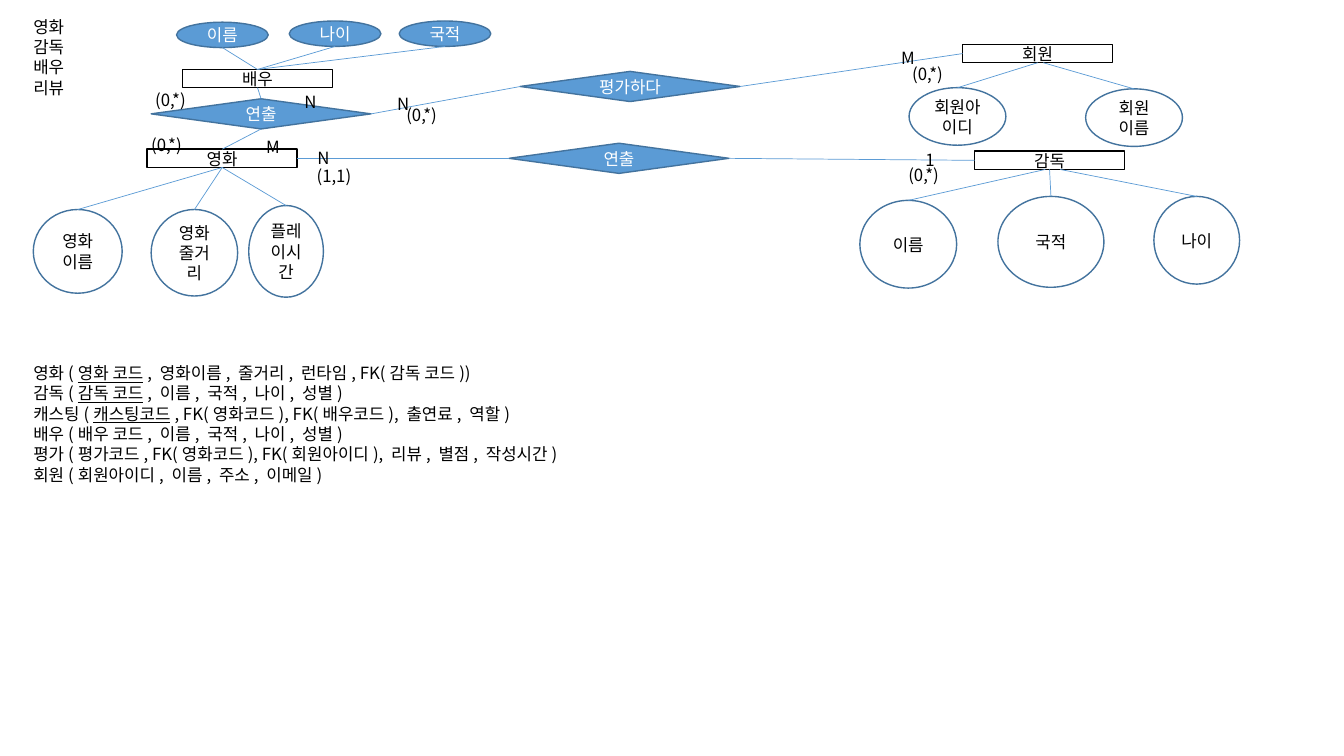
from lxml import etree
from pptx import Presentation
from pptx.dml.color import RGBColor
from pptx.enum.shapes import MSO_CONNECTOR, MSO_SHAPE
from pptx.enum.text import MSO_ANCHOR, PP_ALIGN
from pptx.oxml.ns import qn
from pptx.util import Cm, Pt

RECT, OVAL, DIAMOND = MSO_SHAPE.RECTANGLE, MSO_SHAPE.OVAL, MSO_SHAPE.DIAMOND
STRAIGHT = MSO_CONNECTOR.STRAIGHT
MIDDLE, TOP = MSO_ANCHOR.MIDDLE, MSO_ANCHOR.TOP
CENTER, LEFT = PP_ALIGN.CENTER, PP_ALIGN.LEFT
SITE_TOP, SITE_LEFT, SITE_BOTTOM, SITE_RIGHT = range(4)

COLORS = {"ink": "000000", "white": "FFFFFF", "blue": "5B9BD5", "edge": "43739E"}
FONT = "Noto Sans CJK KR"

# Content: places and sizes in centimetres
ENTITY_SIZE = (3.78, 0.46)
RELATION_SIZE = (5.54, 0.76)
ENTITIES = {
    "영화": (3.71, 3.76),
    "감독": (24.56, 3.81),
    "배우": (4.6, 1.75),
    "회원": (24.26, 1.12),
}
# owner, text, box, above its owner (and filled), shift of the line along the owner
ATTRIBUTES = [
    ("영화", "영화이름", (0.84, 5.28, 2.24, 2.11), False, 0),
    ("영화", "영화줄거리", (3.81, 5.28, 2.18, 2.18), False, 0),
    ("영화", "플레이시간", (6.27, 5.18, 1.88, 2.31), False, 0),
    ("감독", "이름", (21.67, 5.05, 2.44, 2.21), False, -0.11),
    ("감독", "국적", (25.15, 4.95, 2.67, 2.29), False, 0),
    ("감독", "나이", (29.08, 4.95, 2.16, 2.21), False, 0.27),
    ("배우", "이름", (4.45, 0.56, 2.31, 0.64), True, 0),
    ("배우", "나이", (7.29, 0.53, 2.31, 0.64), True, 0),
    ("배우", "국적", (10.06, 0.53, 2.31, 0.64), True, 0),
    ("회원", "회원아이디", (22.91, 2.21, 2.44, 1.45), False, 0),
    ("회원", "회원 이름", (27.36, 2.24, 2.44, 1.45), False, 0.14),
]
RELATIONS = {
    "감독 연출": ("연출", 12.83, 3.61),
    "배우 연출": ("연출", 3.81, 2.49),
    "평가": ("평가하다", 13.11, 1.8),
}
RELATION_LINKS = [
    ("영화", SITE_RIGHT, "감독 연출", SITE_LEFT),
    ("감독 연출", SITE_RIGHT, "감독", SITE_LEFT),
    ("배우", SITE_BOTTOM, "배우 연출", SITE_TOP),
    ("배우 연출", SITE_BOTTOM, "영화", SITE_TOP),
    ("배우 연출", SITE_RIGHT, "평가", SITE_LEFT),
    ("평가", SITE_RIGHT, "회원", SITE_LEFT),
]
CARDINALITIES = [
    ("1", 23.32, 3.76), ("(1,1)", 7.98, 4.17), ("(0,*)", 22.89, 4.14),
    ("(0,*)", 3.81, 3.38), ("(0,*)", 3.91, 2.26), ("N", 7.67, 2.31),
    ("M", 6.71, 3.43), ("N", 10.01, 2.36), ("(0,*)", 22.99, 1.6),
    ("N", 8, 3.73), ("M", 22.71, 1.19), ("(0,*)", 10.24, 2.64),
]
ENTITY_LIST = [(name,) for name in ("영화", "감독", "배우", "리뷰")]
# table name, underlined key, remaining columns
SCHEMA = [
    ("영화(", "영화 코드", ", 영화이름, 줄거리, 런타임, FK(감독 코드))"),
    ("감독(", "감독 코드", ", 이름, 국적, 나이, 성별)"),
    ("캐스팅(", "캐스팅코드", ", FK(영화코드), FK(배우코드), 출연료, 역할)"),
    ("배우(배우 코드, 이름, 국적, 나이, 성별)",),
    ("평가(평가코드, FK(영화코드), FK(회원아이디), 리뷰, 별점, 작성시간)",),
    ("회원(회원아이디, 이름, 주소, 이메일)",),
]


def rgb(name):
    return RGBColor.from_string(COLORS[name])


def write(frame, lines, color, align, anchor):
    frame.word_wrap = True
    frame.vertical_anchor = anchor
    for i, parts in enumerate(lines):
        line = frame.add_paragraph() if i else frame.paragraphs[0]
        line.alignment = align
        line.line_spacing = Pt(14.5)
        for j, part in enumerate(parts):
            run = line.add_run()
            run.text = part
            style = {"name": FONT, "size": Pt(12), "underline": j == 1}
            for key, value in style.items():
                setattr(run.font, key, value)
            run.font.color.rgb = rgb(color)
            etree.SubElement(run.font._element, qn("a:ea"), typeface=FONT)


def add_node(kind, text, box, edge, filled):
    node = slide.shapes.add_shape(kind, *map(Cm, box))
    node.shadow.inherit = False
    if filled:
        node.fill.solid()
        node.fill.fore_color.rgb = rgb("blue")
    else:
        node.fill.background()
    node.line.color.rgb = rgb(edge)
    node.line.width = Pt(1)
    write(node.text_frame, [(text,)], "white" if filled else "ink", CENTER, MIDDLE)
    return node


def add_link(start, start_site, end, end_site=None, shift=0):
    """Join two sites, or without an end site stop at the bottom edge of the end."""
    link = slide.shapes.add_connector(STRAIGHT, 0, 0, 0, 0)
    link.begin_connect(start, start_site)
    if end_site is None:
        link.end_x = end.left + end.width // 2 + Cm(shift)
        link.end_y = end.top + end.height
    else:
        link.end_connect(end, end_site)
    link.line.color.rgb = rgb("blue")
    link.line.width = Pt(0.5)
    etree.SubElement(link._element.spPr, qn("a:effectLst"))


def add_text(lines, box):
    frame = slide.shapes.add_textbox(*map(Cm, box)).text_frame
    for side in ("left", "top", "right", "bottom"):
        setattr(frame, f"margin_{side}", 0)
    write(frame, lines, "ink", LEFT, TOP)


deck = Presentation()
deck.slide_width, deck.slide_height = Cm(33.87), Cm(19.05)
slide = deck.slides.add_slide(deck.slide_layouts[6])

# Entities and relations
nodes = {}
for name, place in ENTITIES.items():
    nodes[name] = add_node(RECT, name, place + ENTITY_SIZE, "ink", False)
for name, (text, *place) in RELATIONS.items():
    nodes[name] = add_node(DIAMOND, text, (*place, *RELATION_SIZE), "edge", True)
for start, start_site, end, end_site in RELATION_LINKS:
    add_link(nodes[start], start_site, nodes[end], end_site)

# Attributes: each line runs from the top of the lower part to the upper part
for owner, text, box, above, shift in ATTRIBUTES:
    attribute = add_node(OVAL, text, box, "edge", above)
    lower, upper = (nodes[owner], attribute) if above else (attribute, nodes[owner])
    glue = None if above or shift else SITE_BOTTOM
    add_link(lower, SITE_TOP, upper, glue, shift)

# Cardinalities
for text, left, top in CARDINALITIES:
    add_text([(text,)], (left, top, 1.35 if len(text) > 1 else 0.86, 0.2))

# Entity list and schema
add_text(ENTITY_LIST, (0.84, 0.41, 7.65, 2.06))
add_text(SCHEMA, (0.84, 9.14, 15.67, 3.07))

deck.save("out.pptx")
